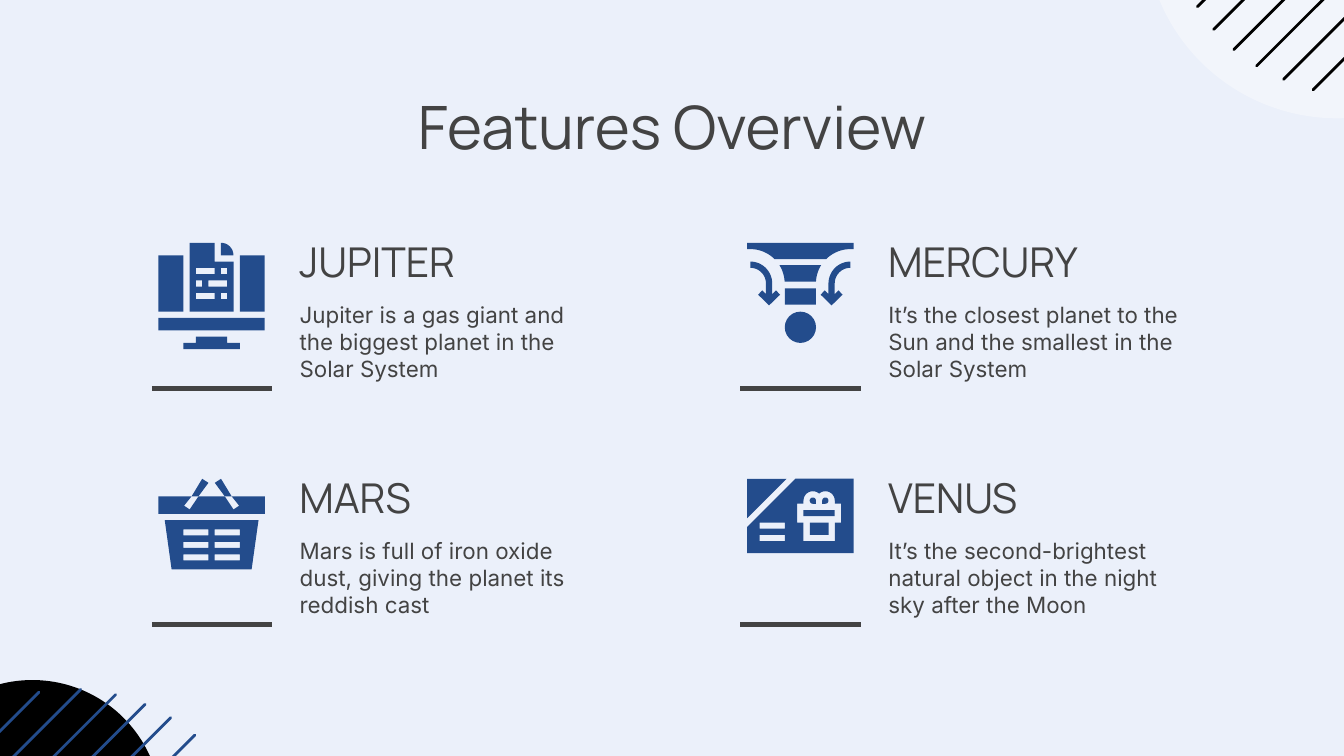
from math import cos, radians, sin

from lxml import etree
from pptx import Presentation
from pptx import util as u
from pptx.dml import color
from pptx.enum import shapes, text
from pptx.oxml import ns

BACKGROUND = color.RGBColor(0xEB, 0xF0, 0xFA)
WHITE = color.RGBColor(0xFF, 0xFF, 0xFF)
BLACK = color.RGBColor(0x00, 0x00, 0x00)
BLUE = color.RGBColor(0x23, 0x4C, 0x8C)
GRAY = color.RGBColor(0x43, 0x43, 0x43)

GRID = 3.35
LEFT, COLUMN_PITCH = 81.3, 315.4
TOP, ROW_PITCH = 116.6, 126.4


def arc(x, y, radius, start, end, steps=16):
    angles = [radians(start + (end - start) * step / steps) for step in range(steps + 1)]
    return [(x + radius * cos(angle), y + radius * sin(angle)) for angle in angles]


def mirror(points, axis=8.5):
    return [(2 * axis - x, y) for x, y in reversed(points)]


def symmetric(half):
    return half + mirror(half)


def box(x, y, width, height):
    return [(x, y), (x + width, y), (x + width, y + height), (x, y + height)]


class Deck:
    margins = {f"margin_{side}": u.Pt(7.2) for side in ("left", "right", "top", "bottom")}
    frame_format = {"word_wrap": True, "auto_size": text.MSO_AUTO_SIZE.NONE, **margins}
    paragraph_format = {"space_before": u.Pt(0), "space_after": u.Pt(0), "line_spacing": 1.0}
    title_font = {"name": "Manrope", "size": u.Pt(32), "bold": False}
    heading_font = {"name": "Manrope", "size": u.Pt(22), "bold": False}
    body_font = {"name": "Inter", "size": u.Pt(12), "bold": False}

    def __init__(self):
        self.presentation = Presentation()
        self.presentation.slide_width = u.Pt(720)
        self.presentation.slide_height = u.Pt(405)

    def add_slide(self, layout):
        self.slide = self.presentation.slides.add_slide(self.presentation.slide_layouts[layout])
        self.slide.background.fill.solid()
        self.slide.background.fill.fore_color.rgb = BACKGROUND

    def apply(self, target, values):
        for name, value in values.items():
            setattr(target, name, value)

    def place(self, shape, left, top, width, height):
        self.apply(shape, {"left": u.Pt(left), "top": u.Pt(top),
                           "width": u.Pt(width), "height": u.Pt(height)})

    def fill_text(self, shape, words, font, anchor=text.MSO_ANCHOR.TOP, align=text.PP_ALIGN.LEFT):
        frame = shape.text_frame
        self.apply(frame, {**self.frame_format, "vertical_anchor": anchor})
        paragraph = frame.paragraphs[0]
        self.apply(paragraph, {**self.paragraph_format, "alignment": align})
        run = paragraph.add_run()
        run.text = words
        self.apply(run.font, font)
        run.font.color.rgb = GRAY
        return paragraph

    def title(self, words, *bounds):
        shape = self.slide.shapes.title
        self.place(shape, *bounds)
        self.fill_text(shape, words, self.title_font, align=text.PP_ALIGN.CENTER)

    def heading(self, words, *bounds):
        shape = self.slide.shapes.add_textbox(*map(u.Pt, bounds))
        self.fill_text(shape, words, self.heading_font, text.MSO_ANCHOR.BOTTOM)

    def body(self, index, words, *bounds):
        shape = self.slide.placeholders[index]
        self.place(shape, *bounds)
        properties = self.fill_text(shape, words, self.body_font)._p.get_or_add_pPr()
        properties.set("marL", "0")
        properties.set("indent", "0")
        etree.SubElement(properties, ns.qn("a:buNone"))

    def paint(self, shape, fill):
        shape.shadow.inherit = False
        shape.fill.solid()
        shape.fill.fore_color.rgb = fill
        shape.line.fill.background()

    def preset(self, kind, fill, *bounds, opacity=None):
        shape = self.slide.shapes.add_shape(kind, *map(u.Pt, bounds))
        self.paint(shape, fill)
        if opacity:
            value = shape._element.spPr.find(".//" + ns.qn("a:srgbClr"))
            etree.SubElement(value, ns.qn("a:alpha"), val=str(opacity * 1000))

    def line(self, start, end, stroke, width, cap="flat"):
        connector = self.slide.shapes.add_connector(
            shapes.MSO_CONNECTOR.STRAIGHT, *map(u.Pt, start + end))
        connector.line.color.rgb = stroke
        connector.line.width = u.Pt(width)
        properties = connector._element.spPr
        properties.find(ns.qn("a:ln")).set("cap", cap)
        etree.SubElement(properties, ns.qn("a:effectLst"))

    def hatching(self, ends, direction, stroke):
        for x, y, reach in ends:
            self.line((x, y), (x + direction * reach, y - direction * reach), stroke, 1.5, "rnd")

    def outline(self, left, top, contours):
        scaled = [[(u.Pt(left + GRID * x), u.Pt(top + GRID * y)) for x, y in contour]
                  for contour in contours]
        builder = self.slide.shapes.build_freeform(*scaled[0][0])
        builder.add_line_segments(scaled[0][1:], close=True)
        for contour in scaled[1:]:
            builder.move_to(*contour[0])
            builder.add_line_segments(contour[1:], close=True)
        self.paint(builder.convert_to_shape(), BLUE)

    def icon(self, left, top, blocks=(), discs=(), outlines=()):
        for kind, group in ((shapes.MSO_SHAPE.RECTANGLE, blocks), (shapes.MSO_SHAPE.OVAL, discs)):
            for x, y, width, height in group:
                self.preset(kind, BLUE, left + GRID * x, top + GRID * y,
                            GRID * width, GRID * height)
        for contours in outlines:
            self.outline(left, top, contours)


page = [(5, 0), (5, 11), (12, 11), (12, 3), (9, 3), (9, 0)]
page_marks = [box(x, y, width, 1) for x, y, width in
              ((6, 4, 3), (10, 4, 1), (6, 6, 1), (8, 6, 3), (6, 8, 3), (10, 8, 1))]
SCREEN = {
    "blocks": [(0, 12, 17, 2), (0, 2, 4, 9), (13, 2, 4, 9)],
    "outlines": [[symmetric([(6, 15), (6, 16), (4, 16), (4, 17)])],
                 [[(10, 2)] + arc(10, 2, 2, -90, 0)],
                 [page] + page_marks],
}

curved_arrow = (arc(16.5, 6.5, 3.5, 270, 180)
                + [(13, 8.2), (12.4, 7.6), (11.75, 8.3), (13.5, 10),
                   (15.25, 8.3), (14.6, 7.6), (14, 8.2)]
                + arc(16.5, 6.5, 2.5, 180, 270))
FUNNEL = {
    "blocks": [(6, 7.3, 5, 2.6)],
    "discs": [(6, 11, 5, 5)],
    "outlines": [[curved_arrow], [mirror(curved_arrow)],
                 [symmetric([(0, 0), (0, 1)] + arc(0.5, 6.5, 5.5, -90, -45))],
                 [symmetric(arc(0.5, 6.5, 5.5, -32, -3))]],
}

handle = [(7, 0), (5.3, 2.8), (6.4, 2.8), (8, 0.65)]
rim = [(6.4, 2.8), (5, 4.9), (4.1, 4.3), (5.3, 2.8), (0, 2.8), (0, 5.6)]
slots = [box(x, y, 4, 0.95) for y in (8.1, 10.1, 12.1) for x in (4, 9)]
BASKET = {"outlines": [[handle], [mirror(handle)], [symmetric(rim)],
                       [symmetric([(1, 6.6), (2.1, 14.5)])] + slots]}

ribbon_loop = [(11, 4)] + arc(10.5, 3.5, 0.5, 90, 360)
gift_half = [(9, 10), (9, 7), (8, 7), (8, 4), (9, 4)] + arc(10.5, 3.5, 1.5, 180, 312)
card = [(7.7, 0), (0, 7.7), (0, 11.9), (17, 11.9), (17, 0)]
CARD = {
    "blocks": [(10, 7, 3, 2), (9, 5, 5, 1)],
    "outlines": [[ribbon_loop], [mirror(ribbon_loop, 11.5)],
                 [[(0, 0), (0, 6.3), (6.3, 0)]],
                 [card, gift_half + mirror(gift_half, 11.5), box(2, 7, 4, 1), box(2, 9, 4, 1)]],
}

FEATURES = [
    ("JUPITER", "Jupiter is a gas giant and the biggest planet in the Solar System", SCREEN),
    ("MERCURY", "It’s the closest planet to the Sun and the smallest in the Solar System", FUNNEL),
    ("MARS", "Mars is full of iron oxide dust, giving the planet its reddish cast", BASKET),
    ("VENUS", "It’s the second-brightest natural object in the night sky after the Moon", CARD),
]
TOP_HATCHING = [(703.4, 48.2, 123), (687.6, 42.5, 133), (673.2, 35.3, 140),
                (661, 26.6, 146), (650.2, 15.8, 139), (641.5, 3.6, 141)]
BOTTOM_HATCHING = [(104.4, 393.8, 144), (91.4, 384.5, 140), (77.8, 377.3, 134),
                   (61.9, 372.2, 123), (43.2, 369.4, 107), (20.9, 370.8, 83)]


def main():
    deck = Deck()
    deck.add_slide(4)
    deck.preset(shapes.MSO_SHAPE.OVAL, WHITE, 613.4, -141.1, 205.9, 204.5, opacity=36)
    deck.hatching(TOP_HATCHING, 1, BLACK)
    deck.preset(shapes.MSO_SHAPE.OVAL, BLACK, -51.8, 364.3, 138.2, 138.2)
    deck.hatching(BOTTOM_HATCHING, -1, BLUE)
    deck.title("Features Overview", 56.2, 41, 607.7, 55.4)
    for number, (name, description, icon) in enumerate(FEATURES):
        row, column = divmod(number, 2)
        left, top = LEFT + column * COLUMN_PITCH, TOP + row * ROW_PITCH
        deck.heading(name, left + 72, top, 169.9, 43.9)
        deck.body(number + 1, description, left + 72, top + 37.5, 169.9, 65.5)
        deck.line((left, top + 91.6), (left + 64.4, top + 91.6), GRAY, 2.25)
        deck.icon(left + 3.6, top + 13.5, **icon)
    deck.presentation.save("out.pptx")


if __name__ == "__main__":
    main()
